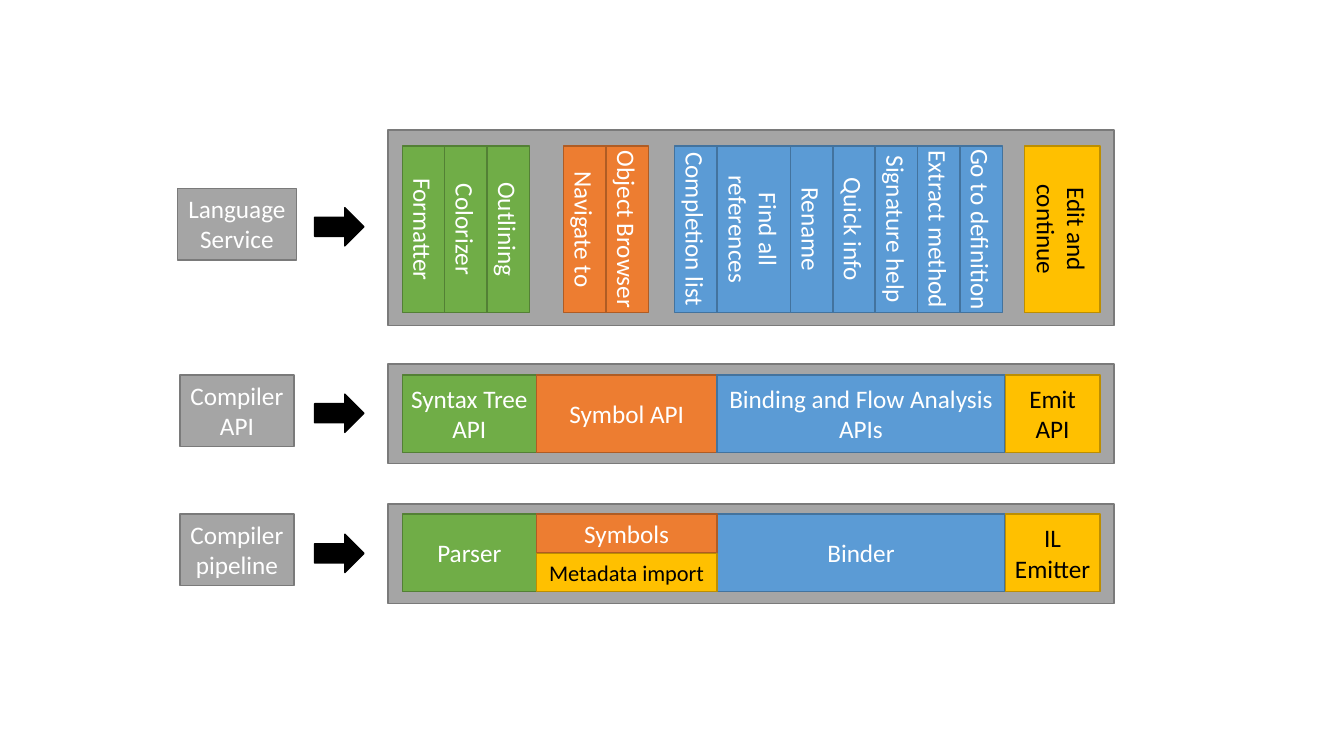
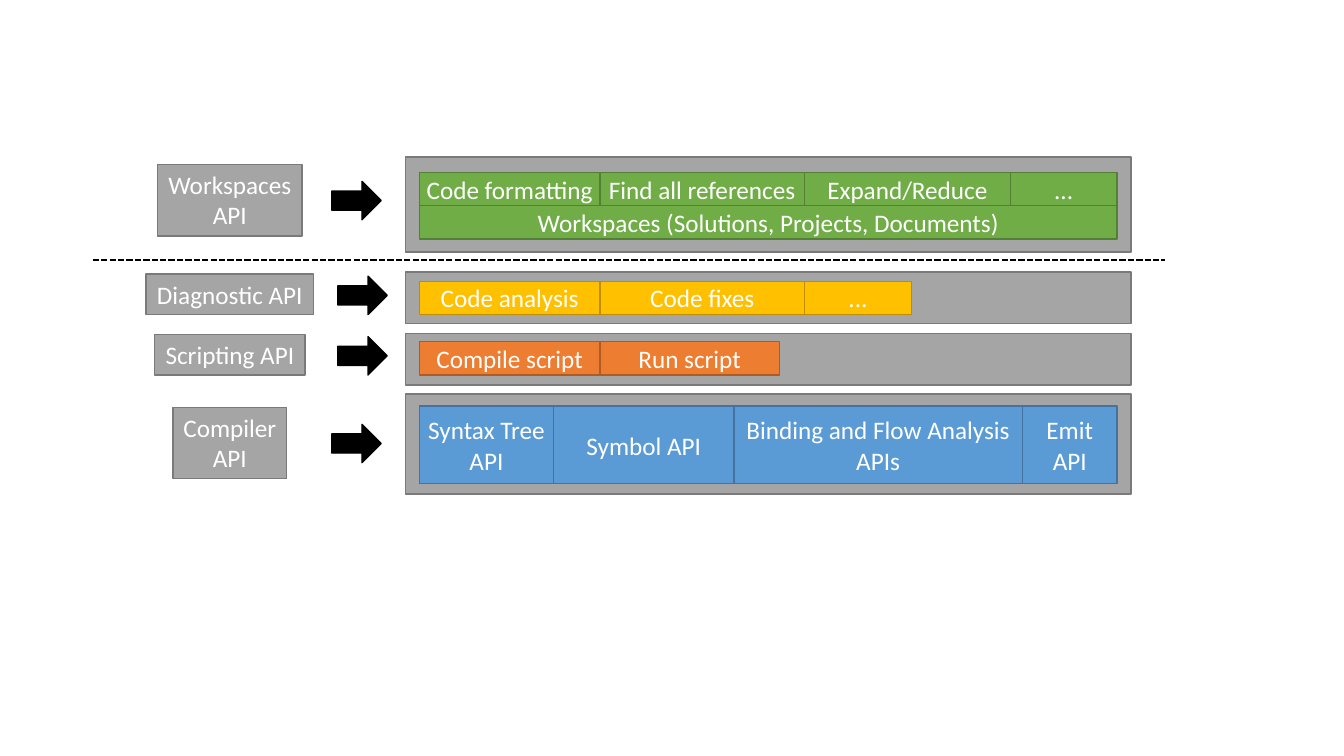
import dataclasses

import lxml.etree
import pptx
import pptx.dml.color
import pptx.enum.dml
import pptx.enum.shapes
import pptx.enum.text
import pptx.oxml.ns
import pptx.util

Inches = pptx.util.Inches
SHAPE = pptx.enum.shapes.MSO_SHAPE
ANCHOR = pptx.enum.text.MSO_ANCHOR


@dataclasses.dataclass(frozen=True)
class Paint:
    """Fill, outline and text colours of one kind of box."""
    fill: str
    line: str
    text: str = "FFFFFF"


@dataclasses.dataclass(frozen=True)
class Theme:
    """Colours, type and measures that the slides share."""
    gray: Paint = Paint("A5A5A5", "7A7A7A")
    green: Paint = Paint("70AD47", "538035")
    orange: Paint = Paint("ED7D31", "AF5C24")
    blue: Paint = Paint("5B9BD5", "43739E")
    yellow: Paint = Paint("FFC000", "BD8E00", "000000")
    amber: Paint = Paint("FFC000", "BD8E00")
    black: Paint = Paint("000000", "000000")
    font: str = "Calibri"
    size: int = 18
    small: int = 16
    band_width: float = 7.2
    band_inset: float = 0.14


THEME = Theme()


def rgb(value):
    """Turn a hex string into a colour."""
    return pptx.dml.color.RGBColor.from_string(value)


def add_box(s, x, y, w, h, paint, kind=SHAPE.RECTANGLE):
    """Draw a flat preset shape."""
    sp = s.shapes.add_shape(kind, Inches(x), Inches(y), Inches(w), Inches(h))
    sp.shadow.inherit = False
    sp.fill.solid()
    sp.fill.fore_color.rgb = rgb(paint.fill)
    sp.line.color.rgb = rgb(paint.line)
    sp.line.width = pptx.util.Pt(1)
    return sp


def set_text(sp, text, paint, size=THEME.size, anchor=ANCHOR.MIDDLE):
    """Write centred, unwrapped text, one paragraph a line."""
    tf = sp.text_frame
    tf.text = text
    tf.word_wrap = False
    tf.vertical_anchor = anchor
    for p in tf.paragraphs:
        p.alignment = pptx.enum.text.PP_ALIGN.CENTER
        for r in p.runs:
            r.font.name = THEME.font
            r.font.size = pptx.util.Pt(size)
            r.font.color.rgb = rgb(paint.text)


def add_cell(s, x, y, w, h, text, paint, size=THEME.size, upright=False):
    """Draw a component cell, turned a quarter if upright."""
    if upright:
        sp = add_box(s, x + (w - h) / 2, y + (h - w) / 2, h, w, paint)
        sp.rotation = 90
    else:
        sp = add_box(s, x, y, w, h, paint)
    set_text(sp, text, paint, size)
    sp.text_frame.margin_left = sp.text_frame.margin_right = 0


def add_row(s, x, y, h, cells, upright=False):
    """Lay cells side by side; a cell without text is a gap."""
    for text, w, paint in cells:
        if text:
            add_cell(s, x, y, w, h, text, paint, upright=upright)
        x += w


def add_label(s, center, y, w, text):
    """Draw a layer's name box around a centre line."""
    h = 0.71 if "\n" in text else 0.4
    sp = add_box(s, center - w / 2, y, w, h, THEME.gray)
    set_text(sp, text, THEME.gray, anchor=ANCHOR.TOP)
    sp.text_frame.auto_size = pptx.enum.text.MSO_AUTO_SIZE.SHAPE_TO_FIT_TEXT


def add_layer(s, x, y, h, label, center, label_y, label_w, arrow_x, arrow_y):
    """Draw a band with its label and arrow; return the cells' left edge."""
    add_box(s, x, y, THEME.band_width, h, THEME.gray)
    add_label(s, center, label_y, label_w, label)
    add_box(s, arrow_x, arrow_y, 0.49, 0.38, THEME.black, SHAPE.RIGHT_ARROW)
    return x + THEME.band_inset


def add_divider(s, x1, x2, y):
    """Draw a dashed horizontal line."""
    line = s.shapes.add_connector(
        pptx.enum.shapes.MSO_CONNECTOR.STRAIGHT,
        Inches(x1), Inches(y), Inches(x2), Inches(y))
    line.line.color.rgb = rgb(THEME.black.line)
    line.line.width = pptx.util.Pt(1.5)
    line.line.dash_style = pptx.enum.dml.MSO_LINE.SQUARE_DOT
    lxml.etree.SubElement(line._element.spPr, pptx.oxml.ns.qn("a:effectLst"))


def api_cells(paints):
    """Return the compiler API cells in the given paints."""
    names = ("Syntax Tree\nAPI", "Symbol API",
             "Binding and Flow Analysis\nAPIs", "Emit\nAPI")
    return zip(names, (1.33, 1.79, 2.86, 0.94), paints)


def build_compiler_slide(prs):
    """Show the language service, compiler API and pipeline."""
    t = THEME
    s = prs.slides.add_slide(prs.slide_layouts[6])
    x = add_layer(s, 3.85, 5, 0.99, "Compiler\npipeline", 2.35, 5.1, 1.13, 3.12, 5.3)
    add_row(s, x, 5.1, 0.77, [
        ("Parser", 1.33, t.green), ("", 1.79, None),
        ("Binder", 2.86, t.blue), ("IL\nEmitter", 0.94, t.yellow)])
    add_cell(s, x + 1.33, 5.1, 1.79, 0.38, "Symbols", t.orange)
    add_cell(s, x + 1.33, 5.49, 1.79, 0.38, "Metadata import", t.yellow, t.small)

    add_layer(s, 3.85, 3.61, 0.99, "Compiler\nAPI", 2.35, 3.72, 1.13, 3.12, 3.91)
    add_row(s, x, 3.72, 0.77, api_cells((t.green, t.orange, t.blue, t.yellow)))

    add_layer(s, 3.85, 1.29, 1.94, "Language\nService", 2.35, 1.87, 1.18, 3.12, 2.06)
    narrow = 0.42
    services = [(name, narrow, t.green)
                for name in ("Formatter", "Colorizer", "Outlining")]
    services += [("", 0.34, None)]
    services += [(name, narrow, t.orange)
                 for name in ("Navigate to", "Object Browser")]
    services += [("", 0.26, None), ("Completion list", narrow, t.blue),
                 ("Find all\nreferences", 0.73, t.blue)]
    services += [(name, narrow, t.blue)
                 for name in ("Rename", "Quick info", "Signature help",
                              "Extract method", "Go to definition")]
    services += [("", 0.22, None), ("Edit and\ncontinue", 0.75, t.yellow)]
    add_row(s, x, 1.45, 1.65, services, upright=True)


def build_api_slide(prs):
    """Show the API layers from the compiler up to workspaces."""
    t = THEME
    s = prs.slides.add_slide(prs.slide_layouts[6])
    x = add_layer(s, 4.02, 3.91, 0.99, "Compiler\nAPI", 2.28, 4.04, 1.13, 3.29, 4.21)
    add_row(s, x, 4.03, 0.77, api_cells([t.blue] * 4))

    add_layer(s, 4.02, 1.56, 0.94, "Workspaces\nAPI", 2.28, 1.63, 1.43, 3.29, 1.8)
    add_row(s, x, 1.71, 0.33, [
        ("Code formatting", 1.79, t.green), ("Find all references", 2.03, t.green),
        ("Expand/Reduce", 2.04, t.green), ("...", 1.06, t.green)])
    add_cell(s, x, 2.04, 6.92, 0.33,
             "Workspaces (Solutions, Projects, Documents)", t.green)

    add_layer(s, 4.02, 2.7, 0.51, "Diagnostic API", 2.28, 2.72, 1.66, 3.35, 2.74)
    add_row(s, x, 2.79, 0.33, [
        ("Code analysis", 1.79, t.amber), ("Code fixes", 2.03, t.amber),
        ("...", 1.06, t.amber)])

    add_layer(s, 4.02, 3.31, 0.51, "Scripting API", 2.28, 3.32, 1.49, 3.35, 3.34)
    add_row(s, x, 3.39, 0.33, [
        ("Compile script", 1.79, t.orange), ("Run script", 1.78, t.orange)])
    add_divider(s, 0.92, 11.55, 2.58)


def main():
    """Build and save the presentation."""
    prs = pptx.Presentation()
    prs.slide_width = Inches(13.33)
    prs.slide_height = Inches(7.5)
    build_compiler_slide(prs)
    build_api_slide(prs)
    prs.save("out.pptx")


if __name__ == "__main__":
    main()
